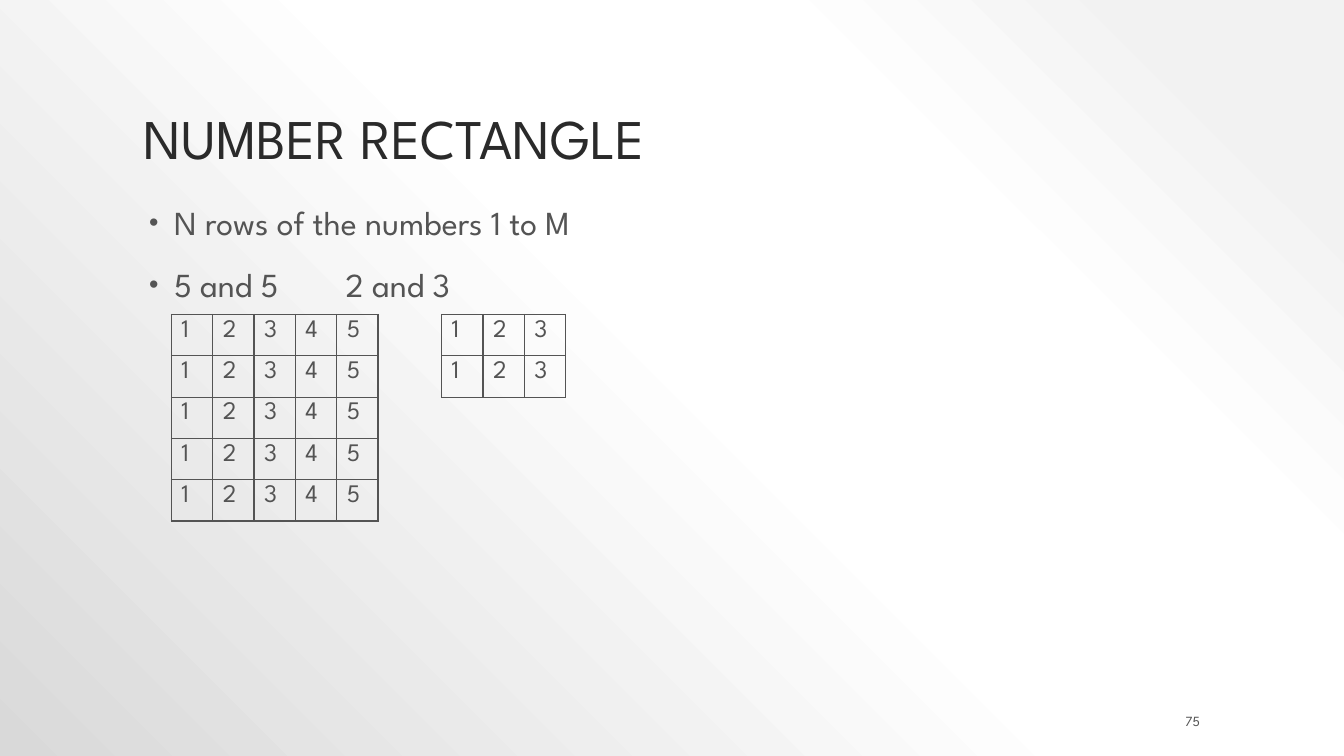
from dataclasses import dataclass

from pptx import Presentation
from pptx.dml.color import RGBColor
from pptx.enum.text import MSO_ANCHOR, PP_ALIGN
from pptx.oxml import parse_xml
from pptx.oxml.ns import nsdecls
from pptx.slide import Slide
from pptx.text.text import _Paragraph
from pptx.util import Emu, Pt

EMU_PER_PX = 9144


@dataclass(frozen=True)
class Theme:
    font: str = "League Spartan"
    heading: str = "2A2A2A"
    body: str = "545454"
    gradient: tuple[tuple[int, str], ...] = (
        (10, "F2F2F2"), (28, "FFFFFF"), (48, "FFFFFF"), (100, "D9D9D9"),
    )
    title_size: int = 40
    bullet_size: int = 24
    number_size: int = 18
    footer_size: int = 10
    border_width: int = 1


@dataclass(frozen=True)
class TextBlock:
    left: int
    top: int
    width: int
    height: int
    lines: tuple[str, ...]
    size: int
    color: str
    anchor: MSO_ANCHOR = MSO_ANCHOR.TOP
    align: PP_ALIGN = PP_ALIGN.LEFT
    line_spacing: float = 1.0
    bulleted: bool = False


@dataclass(frozen=True)
class NumberRectangle:
    left: int
    rows: int
    columns: int


THEME = Theme()
RECTANGLE_TOP = 312
CELL_SIDE = 41
BULLET_GAP = 18

TEXT_BLOCKS = (
    TextBlock(133, 30, 1067, 145, ("NUMBER RECTANGLE",), THEME.title_size,
              THEME.heading, anchor=MSO_ANCHOR.BOTTOM, line_spacing=0.9),
    TextBlock(133, 200, 1067, 475,
              ("N rows of the numbers 1 to M", "5 and 5\t\t2 and 3"),
              THEME.bullet_size, THEME.body, line_spacing=0.9, bulleted=True),
    TextBlock(1075, 705, 125, 20, ("75",), THEME.footer_size, THEME.body,
              anchor=MSO_ANCHOR.MIDDLE, align=PP_ALIGN.RIGHT),
)
NUMBER_RECTANGLES = (NumberRectangle(170, 5, 5), NumberRectangle(438, 2, 3))


def px(length: int) -> Emu:
    return Emu(length * EMU_PER_PX)


def paint_background(slide: Slide) -> None:
    stops = "".join(
        f'<a:gs pos="{position * 1000}"><a:srgbClr val="{color}"/></a:gs>'
        for position, color in THEME.gradient
    )
    slide.element.cSld.insert(0, parse_xml(
        f'<p:bg {nsdecls("p", "a")}><p:bgPr><a:gradFill rotWithShape="1">'
        f'<a:gsLst>{stops}</a:gsLst><a:path path="circle">'
        '<a:fillToRect l="100000" t="0" r="0" b="100000"/></a:path>'
        '</a:gradFill><a:effectLst/></p:bgPr></p:bg>'
    ))


def add_run(paragraph: _Paragraph, text: str, size: int, color: str) -> None:
    run = paragraph.add_run()
    run.text = text
    run.font.name = THEME.font
    run.font.size = Pt(size)
    run.font.color.rgb = RGBColor.from_string(color)


def add_bullet(paragraph: _Paragraph, color: str) -> None:
    properties = paragraph._p.get_or_add_pPr()
    properties.set("marL", str(px(30)))
    properties.set("indent", str(px(-25)))
    for markup in (
        f'<a:buClr {nsdecls("a")}><a:srgbClr val="{color}"/></a:buClr>',
        f'<a:buSzPct {nsdecls("a")} val="80000"/>',
        f'<a:buFont {nsdecls("a")} typeface="Arial"/>',
        f'<a:buChar {nsdecls("a")} char="•"/>',
    ):
        properties.append(parse_xml(markup))


def draw_text(slide: Slide, block: TextBlock) -> None:
    frame = slide.shapes.add_textbox(
        px(block.left), px(block.top), px(block.width), px(block.height)
    ).text_frame
    frame.word_wrap = True
    frame.vertical_anchor = block.anchor
    for index, line in enumerate(block.lines):
        paragraph = frame.add_paragraph() if index else frame.paragraphs[0]
        if block.bulleted:
            add_bullet(paragraph, block.color)
        paragraph.alignment = block.align
        paragraph.line_spacing = block.line_spacing
        if index:
            paragraph.space_before = Pt(BULLET_GAP)
        add_run(paragraph, line, block.size, block.color)


def draw_rectangle(slide: Slide, rectangle: NumberRectangle) -> None:
    grid = slide.shapes.add_table(
        rectangle.rows, rectangle.columns, px(rectangle.left), px(RECTANGLE_TOP),
        px(rectangle.columns * CELL_SIDE), px(rectangle.rows * CELL_SIDE),
    ).table
    grid.first_row = False
    grid.horz_banding = False
    for row in grid.rows:
        for number, cell in enumerate(row.cells, start=1):
            properties = cell._tc.get_or_add_tcPr()
            for side in ("lnL", "lnR", "lnT", "lnB"):
                properties.append(parse_xml(
                    f'<a:{side} {nsdecls("a")} w="{Pt(THEME.border_width)}">'
                    f'<a:solidFill><a:srgbClr val="{THEME.body}"/></a:solidFill>'
                    f'</a:{side}>'
                ))
            cell.fill.background()
            add_run(cell.text_frame.paragraphs[0], str(number),
                    THEME.number_size, THEME.body)


def main() -> None:
    presentation = Presentation()
    presentation.slide_width = px(1333)
    presentation.slide_height = px(750)
    slide = presentation.slides.add_slide(presentation.slide_layouts[6])
    paint_background(slide)
    for block in TEXT_BLOCKS:
        draw_text(slide, block)
    for rectangle in NUMBER_RECTANGLES:
        draw_rectangle(slide, rectangle)
    presentation.save("out.pptx")


if __name__ == "__main__":
    main()
